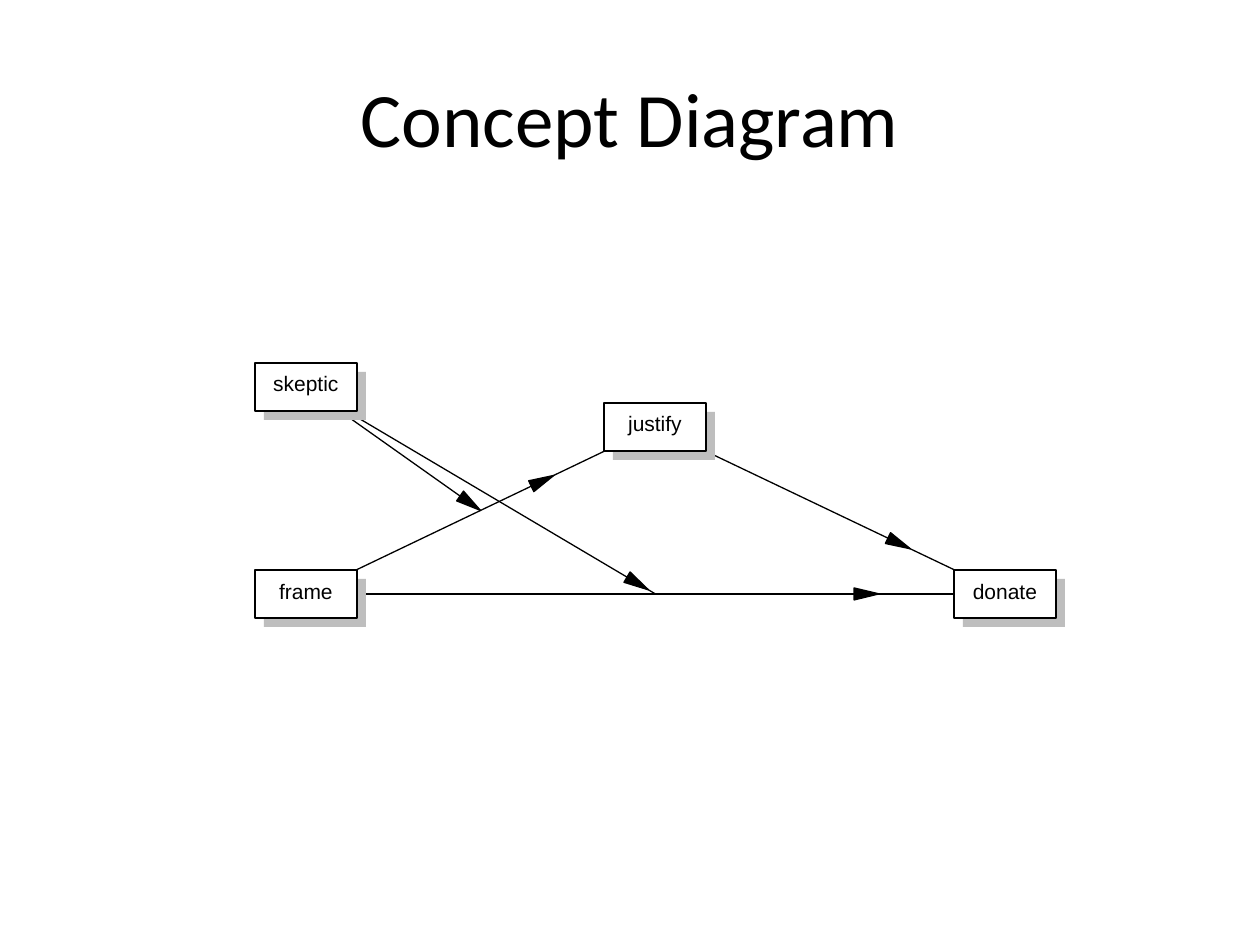
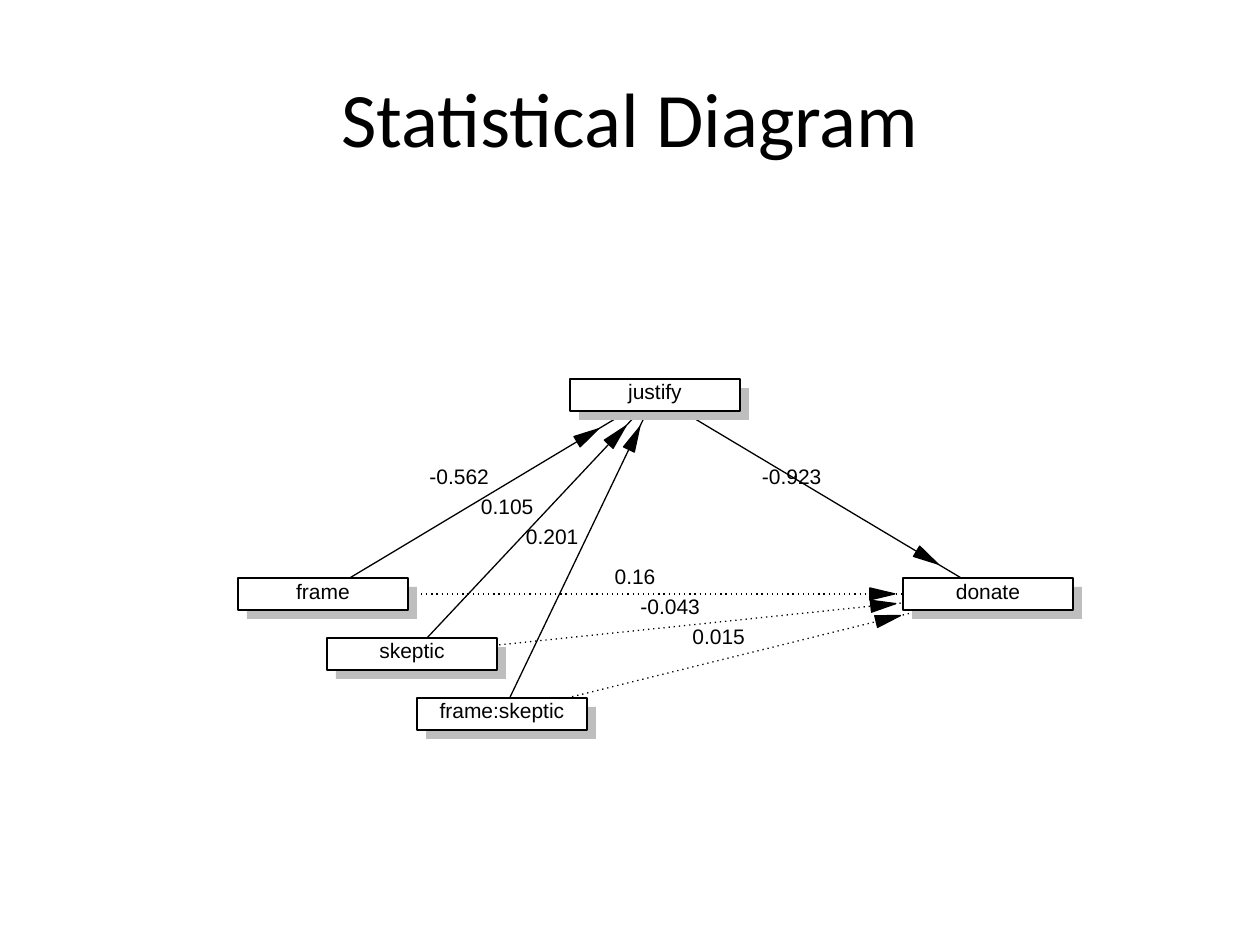
from math import hypot

from lxml import etree
from pptx import Presentation
from pptx.dml.color import RGBColor
from pptx.enum.dml import MSO_LINE
from pptx.enum.shapes import MSO_CONNECTOR, MSO_SHAPE
from pptx.enum.text import MSO_ANCHOR, PP_ALIGN
from pptx.oxml.ns import qn
from pptx.util import Inches, Pt

RECTANGLE = MSO_SHAPE.RECTANGLE
STRAIGHT = MSO_CONNECTOR.STRAIGHT
DOTTED = MSO_LINE.ROUND_DOT
MIDDLE = MSO_ANCHOR.MIDDLE
CENTER, RIGHT = PP_ALIGN.CENTER, PP_ALIGN.RIGHT

color = RGBColor.from_string
BLACK, WHITE, SHADOW_GRAY = "000000", "FFFFFF", "BEBEBE"
LINE_WIDTH = Pt(0.75)
SHADOW_OFFSET = 9
HEAD_LENGTH, HEAD_HALF_WIDTH = 25, 6
LABEL_RISE = 16
PIXELS_PER_INCH = 126

# Nodes: name -> centre. Edges: from, to (two names mean the midpoint between
# them), arrow tip as a share of the length, dotted, coefficient.
DIAGRAMS = [
    {
        "title": "Concept Diagram",
        "node_size": (102, 48),
        "nodes": {
            "frame": (306, 594),
            "donate": (1005, 594),
            "justify": (655, 427),
            "skeptic": (306, 387),
        },
        "edges": [
            ("frame", "donate", 0.82, False, ""),
            ("frame", "justify", 0.71, False, ""),
            ("justify", "donate", 0.73, False, ""),
            ("skeptic", "frame justify", 1, False, ""),
            ("skeptic", "frame donate", 0.98, False, ""),
        ],
    },
    {
        "title": "Statistical Diagram",
        "node_size": (170, 32),
        "nodes": {
            "frame": (323, 594),
            "justify": (655, 395),
            "donate": (988, 594),
            "skeptic": (412, 654),
            "frame:skeptic": (502, 714),
        },
        "edges": [
            ("frame", "justify", 0.83, False, "-0.562"),
            ("justify", "donate", 0.85, False, "-0.923"),
            ("frame", "donate", 0.86, True, "0.16"),
            ("skeptic", "justify", 0.88, False, "0.105"),
            ("frame:skeptic", "justify", 0.9, False, "0.201"),
            ("skeptic", "donate", 0.84, True, "-0.043"),
            ("frame:skeptic", "donate", 0.82, True, "0.015"),
        ],
    },
]


def px(length):
    return Inches(length / PIXELS_PER_INCH)


def write(shape, text, font_name, size, alignment):
    """Put one line of black, vertically centred text in a shape."""
    frame = shape.text_frame
    frame.text = text
    frame.vertical_anchor = MIDDLE
    paragraph = frame.paragraphs[0]
    paragraph.alignment = alignment
    font = paragraph.runs[0].font
    font.name = font_name
    font.size = Pt(size)
    font.color.rgb = color(BLACK)
    if font_name == "Arial":
        frame.word_wrap = False
        frame.margin_left = frame.margin_right = 0
        frame.margin_top = frame.margin_bottom = 0
        paragraph.line_spacing = Pt(size)


presentation = Presentation()
presentation.slide_width = Inches(10)
presentation.slide_height = Inches(7.5)

for diagram in DIAGRAMS:
    slide = presentation.slides.add_slide(presentation.slide_layouts[6])
    shapes = slide.shapes
    nodes = diagram["nodes"]

    title = shapes.add_textbox(px(63), px(38), px(1134), px(157))
    title.text_frame.word_wrap = True
    write(title, diagram["title"], "Calibri", 44, CENTER)

    for source, target, tip_share, dotted, coefficient in diagram["edges"]:
        start_x, start_y = nodes[source]
        targets = [nodes[name] for name in target.split()]
        end_x, end_y = (sum(axis) / len(targets) for axis in zip(*targets))

        edge = shapes.add_connector(
            STRAIGHT, px(start_x), px(start_y), px(end_x), px(end_y))
        edge.line.color.rgb = color(BLACK)
        edge.line.width = LINE_WIDTH
        if dotted:
            edge.line.dash_style = DOTTED
            for dash in edge.element.iter(qn("a:prstDash")):
                dash.set("val", "dot")
        etree.SubElement(edge.element.spPr, qn("a:effectLst"))

        run, rise = end_x - start_x, end_y - start_y
        length = hypot(run, rise)
        unit_x, unit_y = run / length, rise / length
        tip_x, tip_y = start_x + run * tip_share, start_y + rise * tip_share
        base_x, base_y = tip_x - HEAD_LENGTH * unit_x, tip_y - HEAD_LENGTH * unit_y
        corners = [
            (px(base_x - side * unit_y), px(base_y + side * unit_x))
            for side in (HEAD_HALF_WIDTH, -HEAD_HALF_WIDTH)
        ]
        builder = shapes.build_freeform(px(tip_x), px(tip_y))
        builder.add_line_segments(corners, close=True)
        arrowhead = builder.convert_to_shape()
        arrowhead.shadow.inherit = False
        arrowhead.fill.solid()
        arrowhead.fill.fore_color.rgb = color(BLACK)
        arrowhead.line.color.rgb = color(BLACK)
        arrowhead.line.width = LINE_WIDTH

        if coefficient:
            middle_x, middle_y = (start_x + end_x) / 2, (start_y + end_y) / 2
            label = shapes.add_textbox(
                px(middle_x - 60), px(middle_y - LABEL_RISE - 8), px(60), px(16))
            write(label, coefficient, "Arial", 12, RIGHT)

    width, height = diagram["node_size"]
    for name, (center_x, center_y) in nodes.items():
        left, top = center_x - width / 2, center_y - height / 2
        for offset, fill in ((SHADOW_OFFSET, SHADOW_GRAY), (0, WHITE)):
            box = shapes.add_shape(
                RECTANGLE, px(left + offset), px(top + offset), px(width), px(height))
            box.shadow.inherit = False
            box.fill.solid()
            box.fill.fore_color.rgb = color(fill)
            box.line.fill.background()
        box.line.color.rgb = color(BLACK)
        box.line.width = LINE_WIDTH
        write(box, name, "Arial", 12, CENTER)
        has_descender = any(letter in "jpy" for letter in name)
        box.text_frame.margin_bottom = px(4 if has_descender else 2)

presentation.save("out.pptx")
